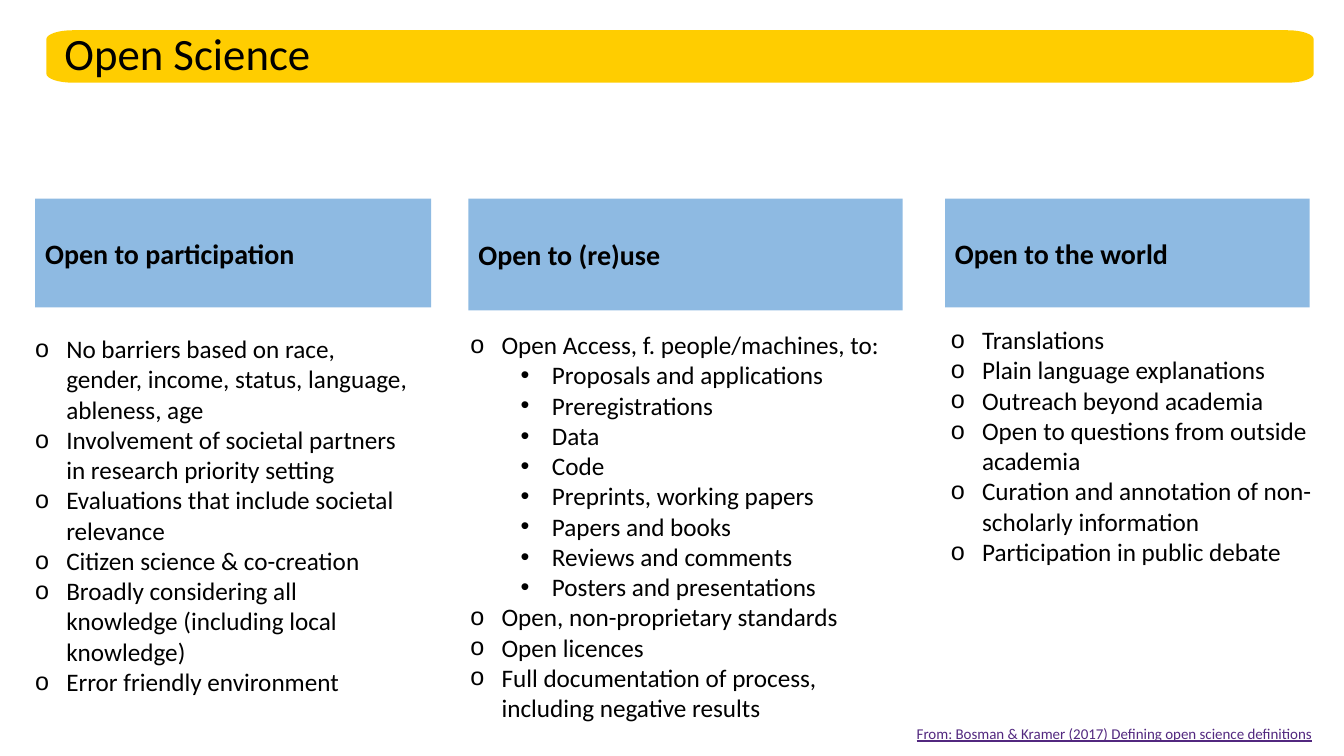
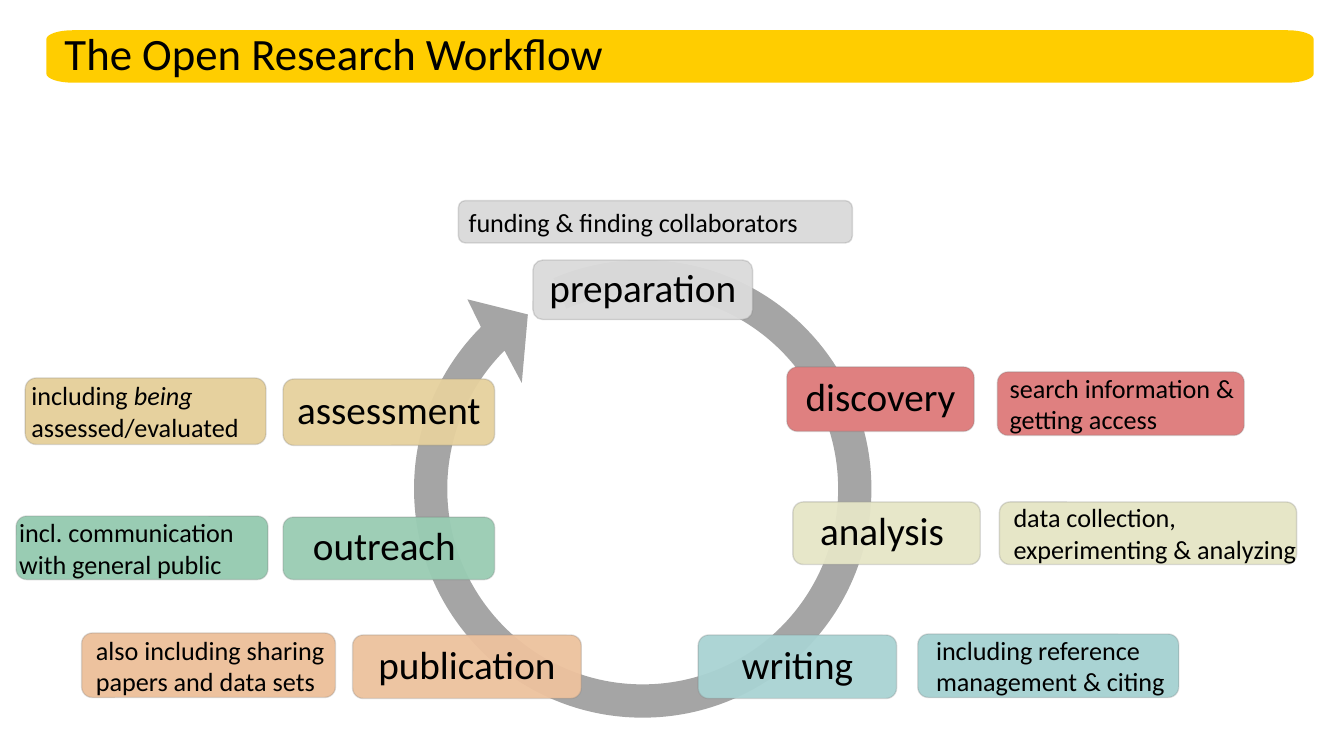
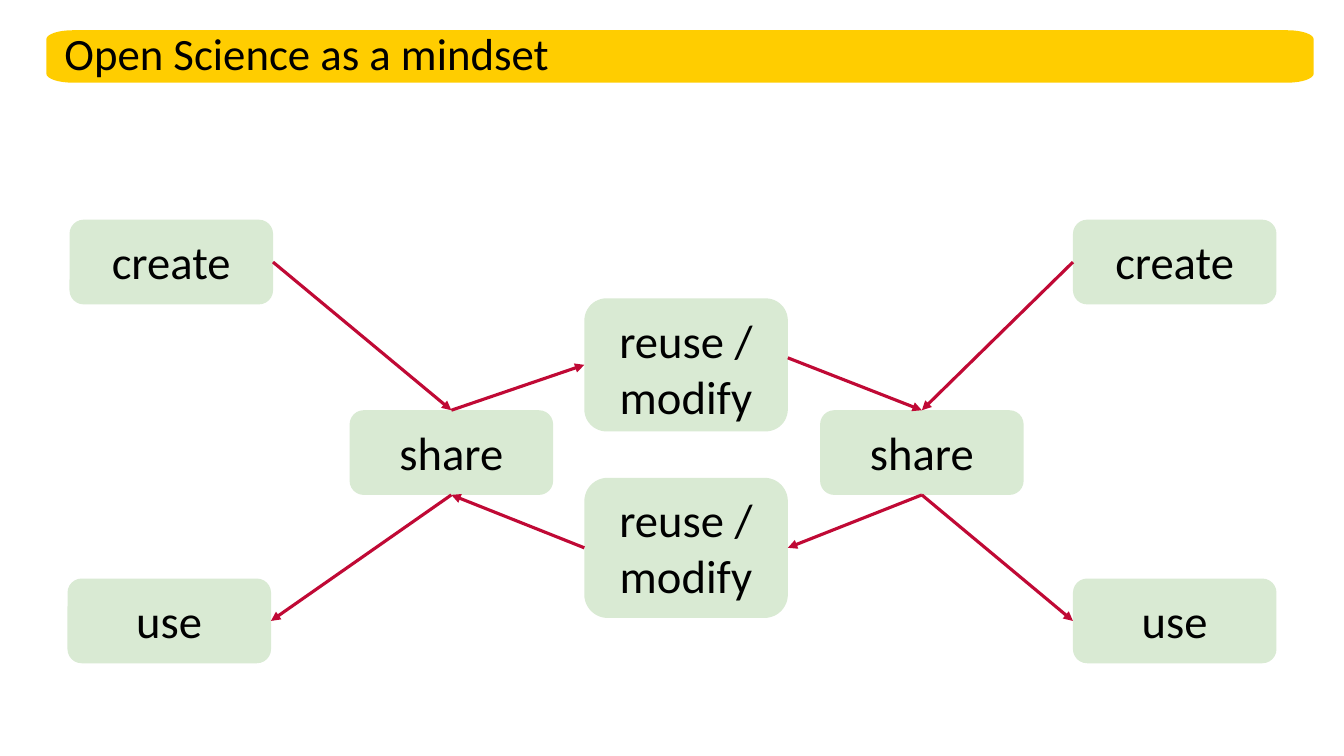
"""Build three slides on open science, the research workflow and the sharing mindset."""
from math import cos, radians, sin, tan

from lxml import etree
from pptx import Presentation
from pptx.dml.color import RGBColor
from pptx.enum.shapes import MSO_CONNECTOR, MSO_SHAPE
from pptx.enum.text import MSO_ANCHOR, PP_ALIGN
from pptx.oxml.ns import qn
from pptx.util import Inches, Pt

RECT, ROUND = MSO_SHAPE.RECTANGLE, MSO_SHAPE.ROUNDED_RECTANGLE
STRAIGHT = MSO_CONNECTOR.STRAIGHT
LEFT, CENTER = PP_ALIGN.LEFT, PP_ALIGN.CENTER
MIDDLE = MSO_ANCHOR.MIDDLE
TOP_SITE, LEFT_SITE, BOTTOM_SITE, RIGHT_SITE = range(4)

FONT, BULLET_FONT = "Calibri", "Arial"
BLACK, YELLOW, BLUE, GREEN = "000000", "FFCD00", "8EBAE2", "D9EAD3"
GREY, OUTLINE, RED, PURPLE = "A5A5A5", "7B7B7B", "C00935", "52287F"
BAND = (0.46, 0.3, 12.58, 0.52)
BAND_CORNER = (0.26, 0.09)

PILLARS = [
    ("Open to participation", (0.35, 1.97, 3.93, 1.08), (0.25, 3.26, 3.93, 4.04), [
        (0, "No barriers based on race, gender, income, status, language, ableness, age"),
        (0, "Involvement of societal partners in research priority setting"),
        (0, "Evaluations that include societal relevance"),
        (0, "Citizen science & co-creation"),
        (0, "Broadly considering all knowledge (including local knowledge)"),
        (0, "Error friendly environment"),
    ]),
    ("Open to (re)use", (4.65, 1.97, 4.31, 1.11), (4.57, 3.22, 4.51, 4.04), [
        (0, "Open Access, f. people/machines, to:"),
        (1, "Proposals and applications"),
        (1, "Preregistrations"),
        (1, "Data"),
        (1, "Code"),
        (1, "Preprints, working papers"),
        (1, "Papers and books"),
        (1, "Reviews and comments"),
        (1, "Posters and presentations"),
        (0, "Open, non-proprietary standards"),
        (0, "Open licences"),
        (0, "Full documentation of process, including negative results"),
    ]),
    ("Open to the world", (9.38, 1.97, 3.62, 1.08), (9.34, 3.17, 3.83, 2.52), [
        (0, "Translations"),
        (0, "Plain language explanations"),
        (0, "Outreach beyond academia"),
        (0, "Open to questions from outside academia"),
        (0, "Curation and annotation of non-scholarly information"),
        (0, "Participation in public debate"),
    ]),
]
SOURCE = "From: Bosman & Kramer (2017) Defining open science definitions"

STAGES = [
    ("preparation", "DBDBDB", 95, (5.29, 2.58, 2.18, 0.59), 0,
     (4.55, 1.99, 3.91, 0.42), 0.08, ["funding & finding collaborators"]),
    ("discovery", "DF8080", 100, (7.81, 3.64, 1.86, 0.64), 0,
     (9.9, 3.69, 2.45, 0.63), 0.09, ["search information &", "getting access"]),
    ("analysis", "E6E6C7", 95, (7.87, 4.98, 1.86, 0.62), 0.09,
     (9.92, 4.98, 2.95, 0.62), 0.11, ["data collection,", "experimenting & analyzing"]),
    ("writing", "A9D3D3", 95, (6.93, 6.3, 1.97, 0.63), 0,
     (9.11, 6.29, 2.59, 0.63), 0.15, ["including reference management & citing"]),
    ("publication", "EDC29E", 95, (3.5, 6.3, 2.27, 0.63), 0,
     (0.81, 6.28, 2.52, 0.64), 0.11, ["also including sharing", "papers and data sets"]),
    ("outreach", "99CCB3", 95, (2.81, 5.13, 2.1, 0.62), 0.09,
     (0.16, 5.12, 2.5, 0.63), 0, ["incl. communication", "with general public"]),
    ("assessment", "E6D19E", 95, (2.81, 3.76, 2.1, 0.66), 0,
     (0.25, 3.75, 2.39, 0.66), 0.03, ["including being", "assessed/evaluated"]),
]
ITALIC_WORD = "being"
RING_CENTER, RING_OUTER, RING_INNER = (6.38, 4.85), 2.27, 1.94
RING_ANGLES = [-113, -90, 0, 90, 180, 225]
ARROW_HEAD = [(4.64, 2.97), (5.24, 3.12), (5.18, 3.8)]

NODE_WIDTH = 2.02
NODES = {
    "create_left": ("create", 0.69, 2.18, 0.84, 0),
    "share_left": ("share", 3.47, 4.07, 0.84, 0),
    "use_left": ("use", 0.67, 5.74, 0.84, 0),
    "reuse_top": ("reuse / modify", 5.8, 2.96, 1.32, 0.07),
    "reuse_bottom": ("reuse / modify", 5.8, 4.74, 1.39, 0),
    "create_right": ("create", 10.65, 2.18, 0.84, 0),
    "share_right": ("share", 8.14, 4.07, 0.84, 0),
    "use_right": ("use", 10.65, 5.74, 0.84, 0),
}
ARROWS = [
    ("create_left", RIGHT_SITE, "share_left", TOP_SITE),
    ("share_left", BOTTOM_SITE, "use_left", RIGHT_SITE),
    ("share_left", TOP_SITE, "reuse_top", LEFT_SITE),
    ("share_right", BOTTOM_SITE, "reuse_bottom", RIGHT_SITE),
    ("reuse_bottom", LEFT_SITE, "share_left", BOTTOM_SITE),
    ("share_right", BOTTOM_SITE, "use_right", LEFT_SITE),
    ("create_right", LEFT_SITE, "share_right", TOP_SITE),
]
FREE_START = (7.82, 3.55)


def rgb(value):
    return RGBColor.from_string(value)


def set_alpha(parent, percent):
    color = parent.find(qn("a:solidFill")).find(qn("a:srgbClr"))
    etree.SubElement(color, qn("a:alpha")).set("val", str(percent * 1000))


def paint(sp, color, alpha=100, outlined=False):
    sp.shadow.inherit = False
    sp.fill.solid()
    sp.fill.fore_color.rgb = rgb(color)
    if alpha < 100:
        set_alpha(sp._element.spPr, alpha)
    if outlined:
        sp.line.color.rgb = rgb(OUTLINE)
        sp.line.width = Pt(1)
        set_alpha(sp._element.spPr.find(qn("a:ln")), 25)
    else:
        sp.line.fill.background()


def set_insets(tf, left, top, right, bottom):
    tf.margin_left, tf.margin_top = Inches(left), Inches(top)
    tf.margin_right, tf.margin_bottom = Inches(right), Inches(bottom)
    tf.vertical_anchor = MIDDLE


def style_run(r, size, color=BLACK, bold=False):
    r.font.name, r.font.size, r.font.bold = FONT, Pt(size), bold
    r.font.color.rgb = rgb(color)


def write(sp, lines, size, align=LEFT, bold=False, color=BLACK, wrap=True):
    tf = sp.text_frame
    tf.word_wrap = wrap
    tf.text = "\n".join(lines)
    for p in tf.paragraphs:
        p.alignment = align
        for r in p.runs:
            style_run(r, size, color, bold)
    return tf


def add_box(slide, kind, at, color, alpha=100, outlined=False):
    sp = slide.shapes.add_shape(kind, *map(Inches, at))
    paint(sp, color, alpha, outlined)
    return sp


def arc(center, rx, ry, angles):
    """Return the points of an arc, each with the controls of the curve into it."""
    cx, cy = center
    steps = [([], (cx + rx * cos(radians(angles[0])), cy + ry * sin(radians(angles[0]))))]
    for start, end in zip(angles, angles[1:]):
        a, b = radians(start), radians(end)
        k = 4 / 3 * tan((b - a) / 4)
        controls = [(cx + rx * (cos(a) - k * sin(a)), cy + ry * (sin(a) + k * cos(a))),
                    (cx + rx * (cos(b) + k * sin(b)), cy + ry * (sin(b) - k * cos(b)))]
        steps.append((controls, (cx + rx * cos(b), cy + ry * sin(b))))
    return steps


def add_outline(slide, steps, color):
    emu = [(Inches(x), Inches(y)) for _, (x, y) in steps]
    builder = slide.shapes.build_freeform(*emu[0])
    builder.add_line_segments(emu[1:], close=True)
    sp = builder.convert_to_shape()
    lines = sp._element.xpath(".//a:lnTo")
    for line, (controls, end) in zip(lines, steps[1:]):
        if controls:
            curve = etree.Element(qn("a:cubicBezTo"))
            for x, y in controls + [end]:
                pt = etree.SubElement(curve, qn("a:pt"))
                pt.set("x", str(Inches(x) - sp.left))
                pt.set("y", str(Inches(y) - sp.top))
            line.getparent().replace(line, curve)
    paint(sp, color)
    return sp


def add_slide(prs, title):
    slide = prs.slides.add_slide(prs.slide_layouts[6])
    x, y, w, h = BAND
    rx, ry = BAND_CORNER
    corners = [(x + w - rx, y + h - ry), (x + rx, y + h - ry),
               (x + rx, y + ry), (x + w - rx, y + ry)]
    steps = [step for i, corner in enumerate(corners)
             for step in arc(corner, rx, ry, [90 * i, 90 * i + 90])]
    tf = write(add_outline(slide, steps, YELLOW), [title], 32)
    set_insets(tf, 0.18, 0.03, 0.18, 0.03)
    tf.paragraphs[0].line_spacing = 0.9
    return slide


def set_bullet(p, level):
    p.level = level
    pPr = p._p.get_or_add_pPr()
    pPr.set("marL", str(Inches(0.31 + 0.5 * level)))
    pPr.set("indent", str(-Inches(0.31)))
    color = etree.SubElement(pPr, qn("a:buClr"))
    etree.SubElement(color, qn("a:srgbClr")).set("val", BLACK)
    etree.SubElement(pPr, qn("a:buFont")).set("typeface", BULLET_FONT)
    etree.SubElement(pPr, qn("a:buChar")).set("char", "o•"[level])


def build_pillars(prs):
    slide = add_slide(prs, "Open Science")
    for heading, head_at, list_at, items in PILLARS:
        tf = write(add_box(slide, RECT, head_at, BLUE), [heading], 20, bold=True)
        tf.vertical_anchor = MIDDLE
        tb = slide.shapes.add_textbox(*map(Inches, list_at))
        tf = write(tb, [text for _, text in items], 18)
        for p, (level, _) in zip(tf.paragraphs, items):
            set_bullet(p, level)
    tb = slide.shapes.add_textbox(*map(Inches, (9, 7.14, 4.51, 0.29)))
    tf = write(tb, [SOURCE], 10.7, color=PURPLE)
    tf.paragraphs[0].runs[0].font.underline = True


def italicize_last_word(p, size):
    r = p.runs[0]
    r.text = r.text.removesuffix(ITALIC_WORD)
    r = p.add_run()
    r.text = ITALIC_WORD
    style_run(r, size)
    r.font.italic = True


def build_workflow(prs):
    slide = add_slide(prs, "The Open Research Workflow")
    outer = arc(RING_CENTER, RING_OUTER, RING_OUTER, RING_ANGLES)
    inner = arc(RING_CENTER, RING_INNER, RING_INNER, RING_ANGLES[::-1])
    add_outline(slide, outer + [([], pt) for pt in ARROW_HEAD] + inner, GREY)
    for name, color, alpha, at, shift, note_at, inset, lines in STAGES:
        sp = add_box(slide, ROUND, at, color, alpha, True)
        set_insets(write(sp, [name], 28, CENTER, wrap=False), 0, 0, shift, 0.06)
        sp = add_box(slide, ROUND, note_at, color, outlined=True)
        tf = write(sp, lines, 18.7, wrap=len(lines) == 1)
        set_insets(tf, inset, 0, 0, 0)
        for p in tf.paragraphs:
            if p.text.endswith(ITALIC_WORD):
                italicize_last_word(p, 18.7)


def add_arrow(slide, end, end_site, start=None, start_site=None):
    x, y = map(Inches, FREE_START)
    cx = slide.shapes.add_connector(STRAIGHT, x, y, x, y)
    if start is not None:
        cx.begin_connect(start, start_site)
    cx.end_connect(end, end_site)
    cx.line.color.rgb = rgb(RED)
    cx.line.width = Pt(2.25)
    spPr = cx._element.spPr
    etree.SubElement(spPr.find(qn("a:ln")), qn("a:tailEnd")).set("type", "triangle")
    etree.SubElement(spPr, qn("a:effectLst"))


def build_mindset(prs):
    slide = add_slide(prs, "Open Science as a mindset")
    boxes = {}
    for key, (text, x, y, h, drop) in NODES.items():
        boxes[key] = add_box(slide, ROUND, (x, y, NODE_WIDTH, h), GREEN)
        set_insets(write(boxes[key], [text], 33.3, CENTER), 0.2, drop, 0.2, 0.02)
    for start, start_site, end, end_site in ARROWS:
        add_arrow(slide, boxes[end], end_site, boxes[start], start_site)
    add_arrow(slide, boxes["share_right"], TOP_SITE)


def main():
    prs = Presentation()
    prs.slide_width, prs.slide_height = Inches(13.34), Inches(7.5)
    build_pillars(prs)
    build_workflow(prs)
    build_mindset(prs)
    prs.save("out.pptx")


if __name__ == "__main__":
    main()
